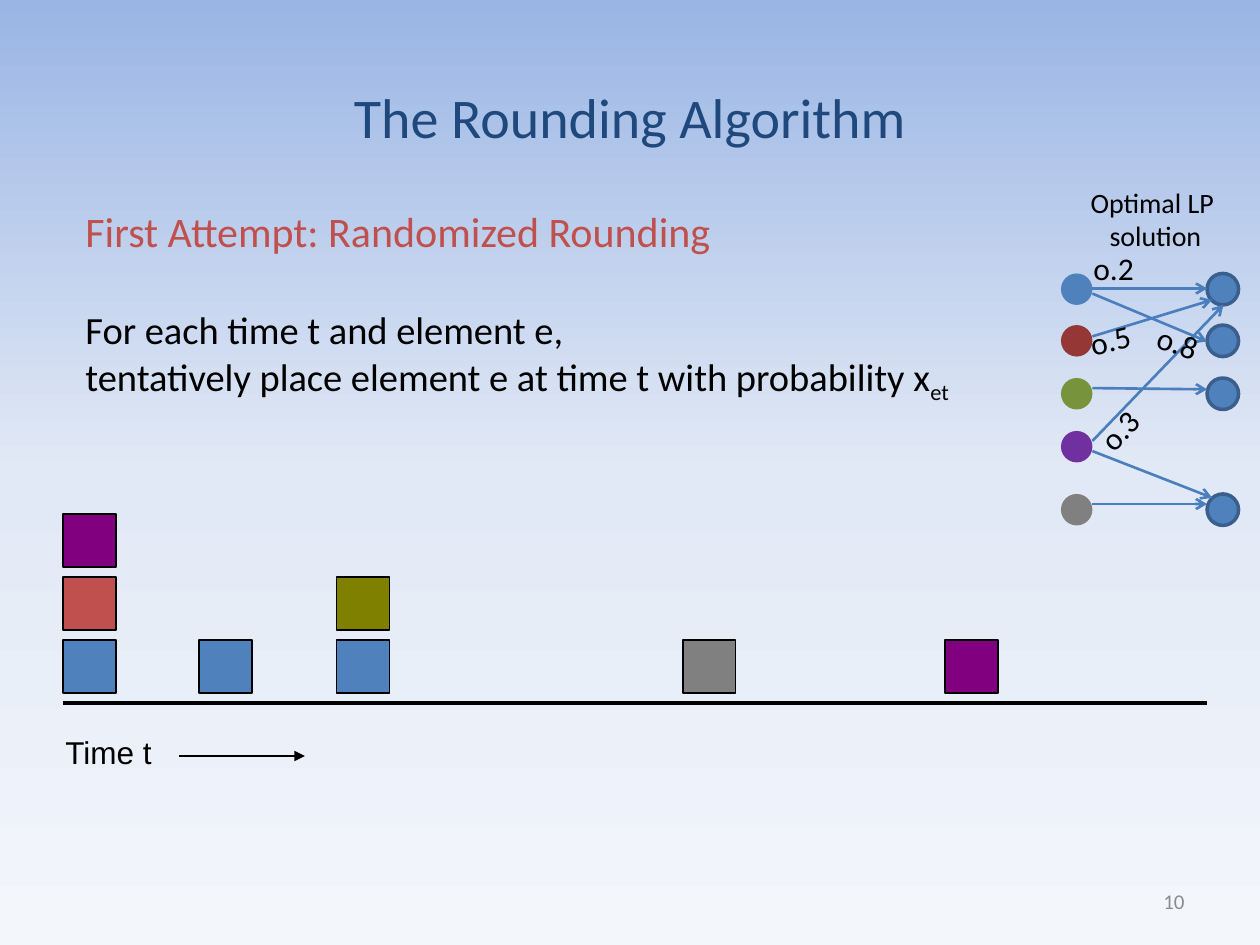
from copy import deepcopy

from lxml import etree
from pptx import Presentation
from pptx.dml.color import RGBColor
from pptx.enum.shapes import MSO_CONNECTOR, MSO_SHAPE
from pptx.enum.text import MSO_ANCHOR, MSO_AUTO_SIZE, PP_ALIGN
from pptx.oxml.ns import qn
from pptx.util import Inches, Pt

STRAIGHT = MSO_CONNECTOR.STRAIGHT
SQUARE, CIRCLE = MSO_SHAPE.RECTANGLE, MSO_SHAPE.OVAL
LEFT, CENTER, RIGHT = PP_ALIGN.LEFT, PP_ALIGN.CENTER, PP_ALIGN.RIGHT
MIDDLE = MSO_ANCHOR.MIDDLE
FIT_SHAPE = MSO_AUTO_SIZE.SHAPE_TO_FIT_TEXT

COLORS = {
    "sky": "9AB5E4", "haze": "E2E9F6", "mist": "F3F6FB",
    "navy": "1F497D", "black": "000000", "page": "8C8C8C",
    "blue": "4F81BD", "red": "C0504D", "purple": "800080",
    "olive": "808000", "gray": "808080", "brick": "953735",
    "green": "77933C", "violet": "7030A0",
    "edge": "4B7EBC", "ring": "3A5F8C",
}
COLORS = {name: RGBColor.from_string(value) for name, value in COLORS.items()}

prs = Presentation()
prs.slide_width, prs.slide_height = Inches(10), Inches(7.5)
slide = prs.slides.add_slide(prs.slide_layouts[5])


def add_text(box, lines, size, color="black", font="Calibri", align=LEFT, wrap=False):
    label = slide.shapes.add_textbox(*map(Inches, box))
    frame = label.text_frame
    frame.word_wrap = wrap
    frame.auto_size = FIT_SHAPE
    frame.text = "\n".join(lines)
    for paragraph in frame.paragraphs:
        paragraph.alignment = align
        paragraph.font.name = font
        paragraph.font.size = Pt(size)
        paragraph.font.color.rgb = COLORS[color]
    return label


def add_line(start, end, color, width, head=None):
    line = slide.shapes.add_connector(STRAIGHT, *map(Inches, (*start, *end)))
    line.line.color.rgb = COLORS[color]
    line.line.width = Pt(width)
    if head:
        etree.SubElement(line.line._get_or_add_ln(), qn("a:tailEnd"), type=head)
    etree.SubElement(line._element.spPr, qn("a:effectLst"))


backdrop = slide.background.fill
backdrop.gradient()
backdrop.gradient_angle = 270
stop_list = slide._element.xpath(".//a:gsLst")[0]
stop_list.append(deepcopy(stop_list[0]))
for stop, position, color in zip(backdrop.gradient_stops, (0, 0.5, 1), ("sky", "haze", "mist")):
    stop.position = position
    stop.color.rgb = COLORS[color]

title = slide.shapes.title
title.left, title.top, title.width, title.height = map(Inches, (0.5, 0.3, 9, 1.25))
title.text_frame.text = "The Rounding Algorithm"
title.text_frame.vertical_anchor = MIDDLE
heading = title.text_frame.paragraphs[0]
heading.alignment = CENTER
heading.font.name = "Calibri"
heading.font.size = Pt(32)
heading.font.color.rgb = COLORS["navy"]

attempt = add_text(
    (0.58, 1.58, 8.43, 1.65),
    ["First Attempt: Randomized Rounding",
     "For each time t and element e,",
     "tentatively place element e at time t with probability x"],
    22, wrap=True)
subtitle, condition, placement = attempt.text_frame.paragraphs
subtitle.font.size = Pt(24)
subtitle.font.color.rgb = COLORS["red"]
condition.space_before = Pt(29)
subscript = placement.add_run()
subscript.text = "et"
subscript._r.get_or_add_rPr().set("baseline", "-25000")

add_line((0.5, 5.58), (9.58, 5.58), "black", 2.5)
add_text((0.42, 5.77, 0.9, 0.4), ["Time t"], 18, font="Arial")
add_line((1.42, 6), (2.42, 6), "black", 0.75, "triangle")

stacks = {
    0.5: ["blue", "red", "purple"],
    1.58: ["blue"],
    2.67: ["blue", "olive"],
    5.42: ["gray"],
    7.5: ["purple"],
}
for left, stack in stacks.items():
    for level, color in enumerate(stack):
        block = slide.shapes.add_shape(
            SQUARE, Inches(left), Inches(5.08 - 0.5 * level), Inches(0.42), Inches(0.42))
        block.shadow.inherit = False
        block.fill.solid()
        block.fill.fore_color.rgb = COLORS[color]
        block.line.color.rgb = COLORS["black"]
        block.line.width = Pt(0.75)

elements = {2.17: "blue", 2.58: "brick", 3: "green", 3.42: "violet", 3.92: "gray"}
times = [2.17, 2.58, 3, 3.92]
nodes = [(8.42, top, color, False) for top, color in elements.items()]
nodes += [(9.58, top, "blue", True) for top in times]
for left, top, color, ringed in nodes:
    node = slide.shapes.add_shape(
        CIRCLE, Inches(left), Inches(top), Inches(0.25), Inches(0.25))
    node.shadow.inherit = False
    node.fill.solid()
    node.fill.fore_color.rgb = COLORS[color]
    if ringed:
        node.line.color.rgb = COLORS["ring"]
        node.line.width = Pt(2)
    else:
        node.line.fill.background()

edges = [
    (2.29, (9.58, 2.29)), (2.33, (9.58, 2.71)), (2.67, (9.62, 2.38)),
    (3.5, (9.71, 2.42)), (3.08, (9.58, 3.09)), (4, (9.58, 4)), (3.58, (9.62, 3.95)),
]
for start_y, end in edges:
    add_line((8.67, start_y), end, "edge", 1.5, "arrow")

weights = [
    ("o.2", 8.58, 1.93, 0), ("o.5", 8.55, 2.49, 346.1),
    ("o.3", 8.62, 3.21, 313.5), ("o.8", 9.09, 2.52, 19.9),
]
for weight, left, top, angle in weights:
    add_text((left, top, 0.53, 0.4), [weight], 18).rotation = angle

add_text((8.55, 1.42, 1.24, 0.64), ["Optimal LP ", "solution"], 16, align=CENTER)
page_number = add_text((7.17, 6.95, 2.33, 0.4), ["10"], 12, "page", align=RIGHT, wrap=True)
page_number.text_frame.auto_size = MSO_AUTO_SIZE.NONE
page_number.text_frame.vertical_anchor = MIDDLE

prs.save("out.pptx")
